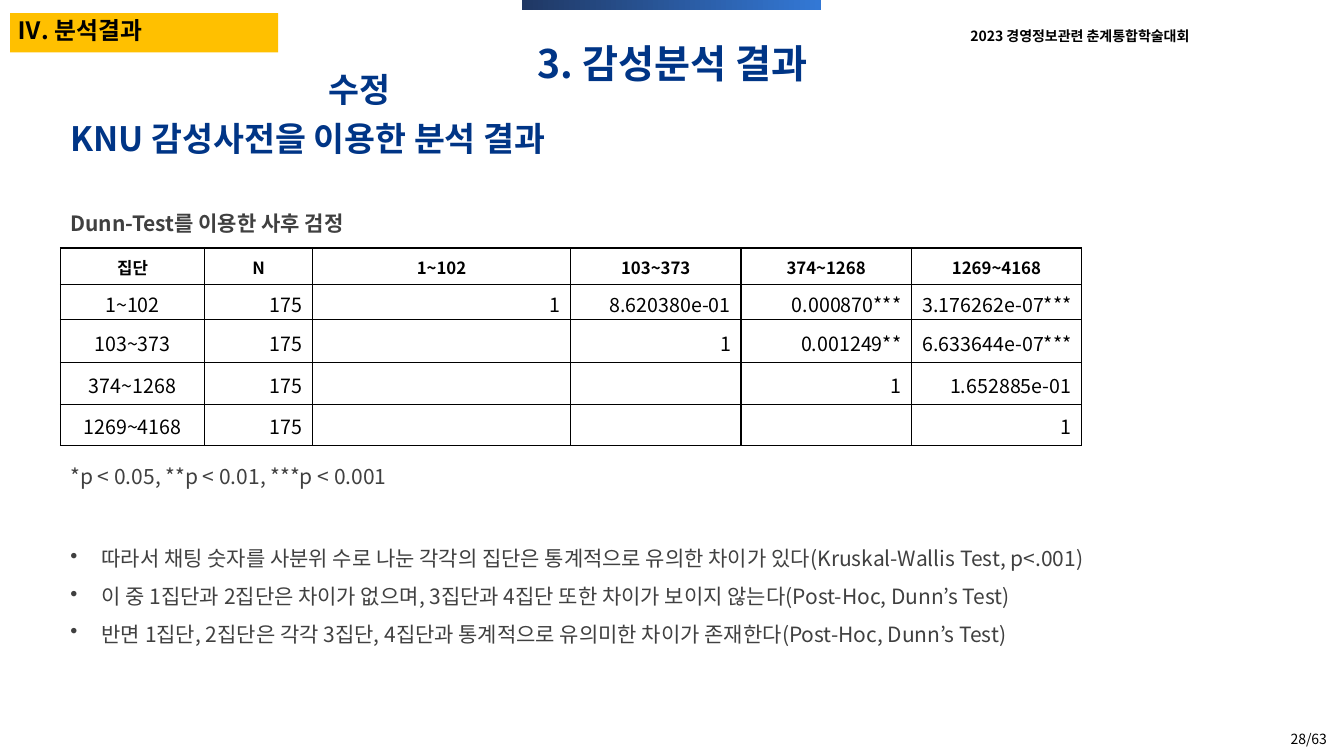
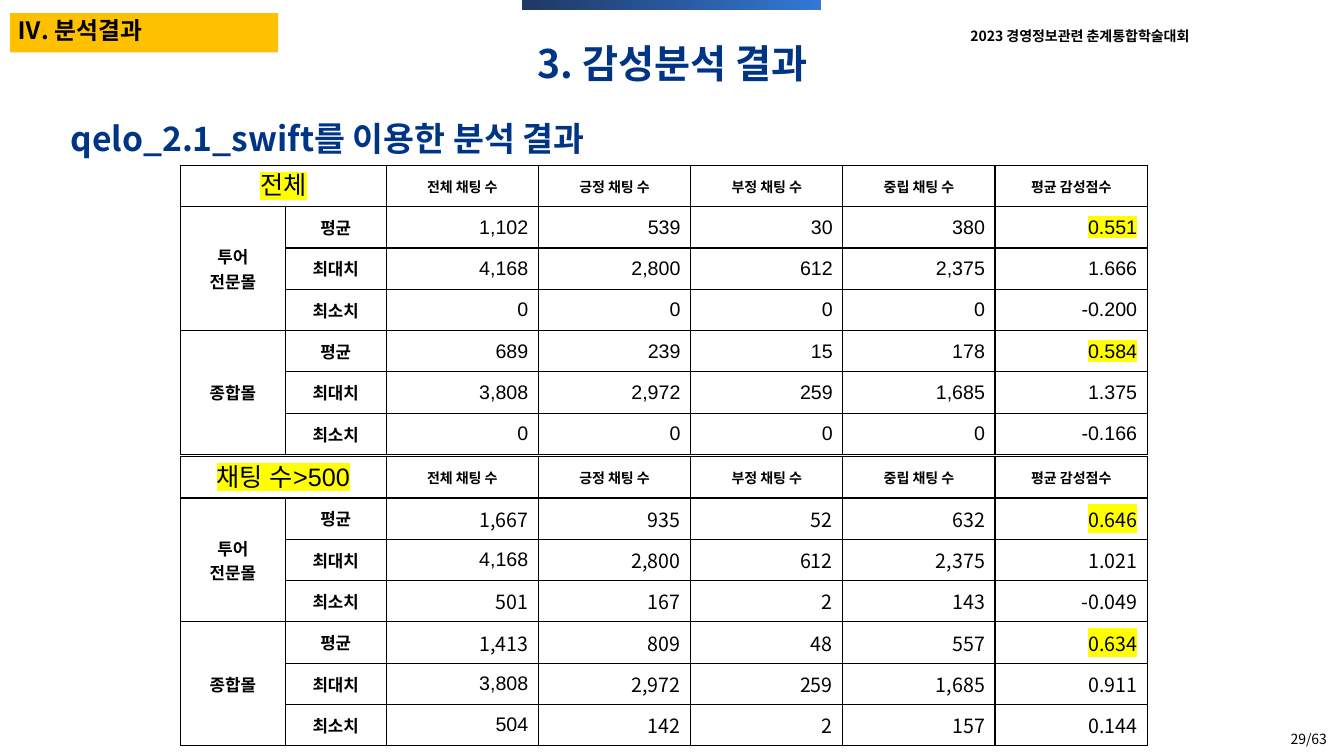
from dataclasses import dataclass

from lxml import etree
from pptx import Presentation
from pptx.dml.color import RGBColor
from pptx.enum.shapes import MSO_SHAPE
from pptx.enum.text import MSO_ANCHOR, MSO_AUTO_SIZE, PP_ALIGN
from pptx.oxml.ns import qn
from pptx.util import Emu, Pt

LEFT, CENTER, RIGHT = PP_ALIGN.LEFT, PP_ALIGN.CENTER, PP_ALIGN.RIGHT
TOP, MIDDLE, BOTTOM = MSO_ANCHOR.TOP, MSO_ANCHOR.MIDDLE, MSO_ANCHOR.BOTTOM
GROW, FIXED = MSO_AUTO_SIZE.SHAPE_TO_FIT_TEXT, MSO_AUTO_SIZE.NONE
RECTANGLE = MSO_SHAPE.RECTANGLE
TITLE_ONLY = 5
EMU_PER_PX = 9144  # 100 px to the inch


@dataclass(frozen=True)
class Theme:
    font: str = "Noto Sans CJK KR"
    number_font: str = "Arial"
    black: str = "000000"
    white: str = "FFFFFF"
    navy: str = "003586"
    gray: str = "404040"
    amber: str = "FFC000"
    yellow: str = "FFFF00"
    bar_dark: str = "203864"
    bar_light: str = "3378D5"
    title: int = 28
    heading: int = 24
    section: int = 17
    corner: int = 18
    body: int = 15
    number: int = 14
    label: int = 12
    small: int = 10


THEME = Theme()


@dataclass(frozen=True)
class Box:
    left: int
    top: int
    width: int
    height: int

    def emu(self):
        return [px(v) for v in (self.left, self.top, self.width, self.height)]

    def inner(self, left, top, width, height):
        return Box(self.left + left, self.top + top, width, height)


def px(length):
    return Emu(length * EMU_PER_PX)


def rgb(color):
    return RGBColor.from_string(color)


def add_color(parent, tag, color):
    element = etree.SubElement(parent, qn(tag))
    etree.SubElement(element, qn("a:srgbClr"), val=color)


# Text
def write_text(frame, text, *, size, color=THEME.black, bold=False,
               font=THEME.font, align=LEFT, line_spacing=None,
               bullet=False, highlight=None):
    for index, line in enumerate(text.split("\n")):
        paragraph = frame.add_paragraph() if index else frame.paragraphs[0]
        paragraph.alignment = align
        if line_spacing:
            paragraph.line_spacing = line_spacing
        if bullet:
            properties = paragraph._p.get_or_add_pPr()
            properties.set("marL", str(px(31)))
            properties.set("indent", str(-px(31)))
            etree.SubElement(properties, qn("a:buChar"), char="•")
        run = paragraph.add_run()
        run.text = line
        run.font.size = Pt(size)
        run.font.bold = bold
        run.font.color.rgb = rgb(color)
        properties = run._r.get_or_add_rPr()
        if highlight:
            add_color(properties, "a:highlight", highlight)
        run.font.name = font
        etree.SubElement(properties, qn("a:ea"), typeface=font)


def set_frame(frame, anchor=TOP, auto_size=GROW):
    frame.word_wrap = True
    frame.vertical_anchor = anchor
    frame.auto_size = auto_size


def add_text(slide, box, text, *, anchor=TOP, auto_size=GROW, **style):
    frame = slide.shapes.add_textbox(*box.emu()).text_frame
    set_frame(frame, anchor, auto_size)
    write_text(frame, text, **style)


# Parts shared by the slides
def add_rectangle(slide, box):
    shape = slide.shapes.add_shape(RECTANGLE, *box.emu())
    shape.shadow.inherit = False
    shape.line.fill.background()
    return shape


def add_section_band(slide, box, text):
    band = add_rectangle(slide, box)
    band.fill.solid()
    band.fill.fore_color.rgb = rgb(THEME.amber)
    add_text(slide, box.inner(-2, -2, 196, 39), text,
             size=THEME.section, bold=True)


def add_top_bar(slide, box):
    bar = add_rectangle(slide, box)
    bar.fill.gradient()
    bar.fill.gradient_angle = 0
    for stop, color in zip(bar.fill.gradient_stops,
                           (THEME.bar_dark, THEME.bar_light)):
        stop.color.rgb = rgb(color)


def set_title(slide, box, text):
    title = slide.shapes.title
    title.left, title.top, title.width, title.height = box.emu()
    set_frame(title.text_frame)
    write_text(title.text_frame, text, size=THEME.title, bold=True,
               color=THEME.navy, align=CENTER)


def add_heading(slide, box, text):
    add_text(slide, box, text, size=THEME.heading, bold=True,
             color=THEME.navy)


def add_result_slide(presentation, heading, page):
    slide = presentation.slides.add_slide(
        presentation.slide_layouts[TITLE_ONLY])
    add_text(slide, Box(1026, 706, 300, 40), page, size=THEME.small,
             align=RIGHT, anchor=BOTTOM, auto_size=FIXED)
    add_text(slide, Box(938, 22, 266, 27), "2023 경영정보관련 춘계통합학술대회",
             size=THEME.small, bold=True, align=CENTER)
    add_section_band(slide, Box(10, 13, 266, 39), "Ⅳ. 분석결과")
    add_top_bar(slide, Box(518, 0, 296, 10))
    set_title(slide, Box(361, 34, 612, 57), "3. 감성분석 결과")
    add_heading(slide, Box(60, 112, 683, 52), heading)
    return slide


# Tables
def format_cell(cell, margin_bottom):
    cell.vertical_anchor = MIDDLE
    cell.margin_top = px(5)
    cell.margin_bottom = px(margin_bottom)
    properties = cell._tc.get_or_add_tcPr()
    for side in ("a:lnL", "a:lnR", "a:lnT", "a:lnB"):
        border = etree.SubElement(properties, qn(side), w=str(Pt(1)))
        add_color(border, "a:solidFill", THEME.black)
    cell.fill.solid()
    cell.fill.fore_color.rgb = rgb(THEME.white)


def add_grid(slide, box, column_widths, row_heights, margin_bottom=5):
    table = slide.shapes.add_table(
        len(row_heights), len(column_widths), *box.emu()).table
    table.first_row = table.horz_banding = False
    for column, width in zip(table.columns, column_widths):
        column.width = px(width)
    for row, height in zip(table.rows, row_heights):
        row.height = px(height)
    for cell in table.iter_cells():
        format_cell(cell, margin_bottom)
    return table


def add_dunn_table(slide, box, rows):
    table = add_grid(slide, box, [143, 107, 256, 169, 169, 169],
                     [36, 35, 43, 41, 41], margin_bottom=2)
    for row_index, row in enumerate(rows):
        is_header = row_index == 0
        for column_index, text in enumerate(row):
            if text:
                write_text(
                    table.cell(row_index, column_index).text_frame, text,
                    size=THEME.label if is_header else THEME.number,
                    bold=is_header,
                    align=RIGHT if row_index and column_index else CENTER)


def add_sentiment_table(slide, box, corner, rows, number_font, arial_cells=()):
    """Two malls by three statistics; averages of the score are marked."""
    table = add_grid(slide, box, [104, 100] + [151] * 5, [41] * 7)
    label = dict(size=THEME.label, bold=True, align=CENTER)

    table.cell(0, 0).merge(table.cell(0, 1))
    write_text(table.cell(0, 0).text_frame, corner, size=THEME.corner,
               font=THEME.number_font, align=CENTER, highlight=THEME.yellow)
    for column, text in enumerate(SCORE_COLUMNS, start=2):
        write_text(table.cell(0, column).text_frame, text,
                   **{**label, "size": THEME.small})
    for top, mall in zip((1, 4), MALLS):
        table.cell(top, 0).merge(table.cell(top + 2, 0))
        write_text(table.cell(top, 0).text_frame, mall, **label)

    for row_index, row in enumerate(rows, start=1):
        statistic = STATISTICS[(row_index - 1) % 3]
        write_text(table.cell(row_index, 1).text_frame, statistic, **label)
        for column, text in enumerate(row.split(), start=2):
            is_arial = (row_index, column) in arial_cells
            is_marked = column == 6 and statistic == STATISTICS[0]
            write_text(table.cell(row_index, column).text_frame, text,
                       size=THEME.number, align=RIGHT,
                       font=THEME.number_font if is_arial else number_font,
                       highlight=THEME.yellow if is_marked else None)


# Content
GROUPS = ["1~102", "103~373", "374~1268", "1269~4168"]
DUNN_ROWS = [
    ["집단", "N", *GROUPS],
    [GROUPS[0], "175", "1", "8.620380e-01", "0.000870***", "3.176262e-07***"],
    [GROUPS[1], "175", "", "1", "0.001249**", "6.633644e-07***"],
    [GROUPS[2], "175", "", "", "1", "1.652885e-01"],
    [GROUPS[3], "175", "", "", "", "1"],
]
FINDINGS = "\n".join([
    "따라서 채팅 숫자를 사분위 수로 나눈 각각의 집단은 통계적으로 유의한 차이가 있다"
    "(Kruskal-Wallis Test, p<.001)",
    "이 중 1집단과 2집단은 차이가 없으며, 3집단과 4집단 또한 차이가 보이지 않는다"
    "(Post-Hoc, Dunn’s Test)",
    "반면 1집단, 2집단은 각각 3집단, 4집단과 통계적으로 유의미한 차이가 존재한다"
    "(Post-Hoc, Dunn’s Test)",
])
SCORE_COLUMNS = ["전체 채팅 수", "긍정 채팅 수", "부정 채팅 수", "중립 채팅 수",
                 "평균 감성점수"]
MALLS = ["투어\n전문몰", "종합몰"]
STATISTICS = ["평균", "최대치", "최소치"]
ALL_ROWS = [
    "1,102 539 30 380 0.551",
    "4,168 2,800 612 2,375 1.666",
    "0 0 0 0 -0.200",
    "689 239 15 178 0.584",
    "3,808 2,972 259 1,685 1.375",
    "0 0 0 0 -0.166",
]
BUSY_ROWS = [
    "1,667 935 52 632 0.646",
    "4,168 2,800 612 2,375 1.021",
    "501 167 2 143 -0.049",
    "1,413 809 48 557 0.634",
    "3,808 2,972 259 1,685 0.911",
    "504 142 2 157 0.144",
]


# Slides
def build_dunn_slide(presentation):
    slide = add_result_slide(
        presentation, "KNU 감성사전을 이용한 분석 결과", "28/63")
    body = Box(60, 191, 1129, 490)
    style = dict(size=THEME.body, color=THEME.gray, line_spacing=1.5)
    add_dunn_table(slide, body.inner(0, 55, 1013, 195), DUNN_ROWS)
    add_text(slide, body.inner(0, 251, 1013, 44),
             "*p < 0.05, **p < 0.01, ***p < 0.001", **style)
    add_text(slide, body.inner(0, 0, 1013, 44),
             "Dunn-Test를 이용한 사후 검정", bold=True, **style)
    add_text(slide, body.inner(0, 333, 1129, 157), FINDINGS,
             bullet=True, **style)
    add_heading(slide, Box(316, 63, 140, 50), "수정")


def build_sentiment_slide(presentation):
    slide = add_result_slide(
        presentation, "qelo_2.1_swift를 이용한 분석 결과", "29/63")
    body = Box(179, 164, 958, 573)
    add_sentiment_table(slide, body.inner(0, 0, 958, 284), "전체",
                        ALL_ROWS, THEME.number_font)
    add_sentiment_table(slide, body.inner(0, 289, 958, 284), "채팅 수>500",
                        BUSY_ROWS, THEME.font,
                        arial_cells={(2, 2), (5, 2), (6, 2)})


def main():
    presentation = Presentation()
    presentation.slide_width = px(1333)
    presentation.slide_height = px(750)
    build_dunn_slide(presentation)
    build_sentiment_slide(presentation)
    presentation.save("out.pptx")


if __name__ == "__main__":
    main()
